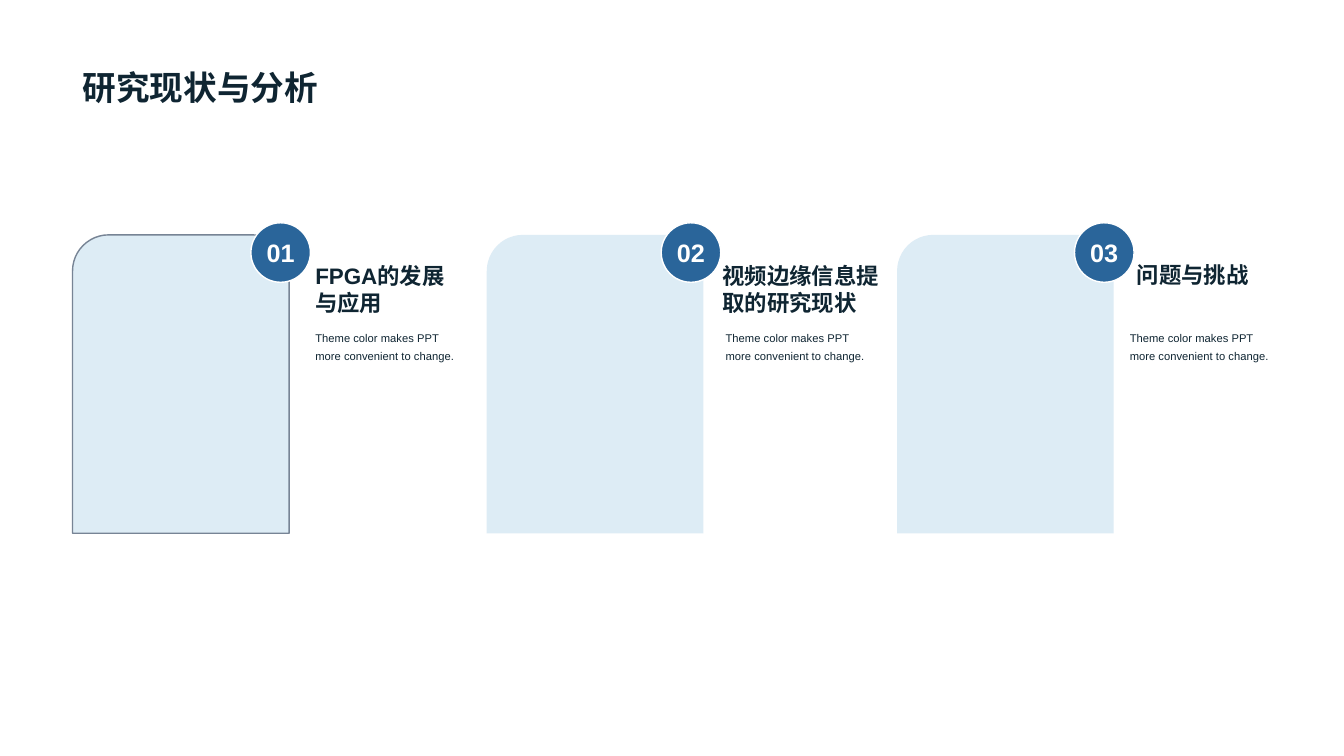
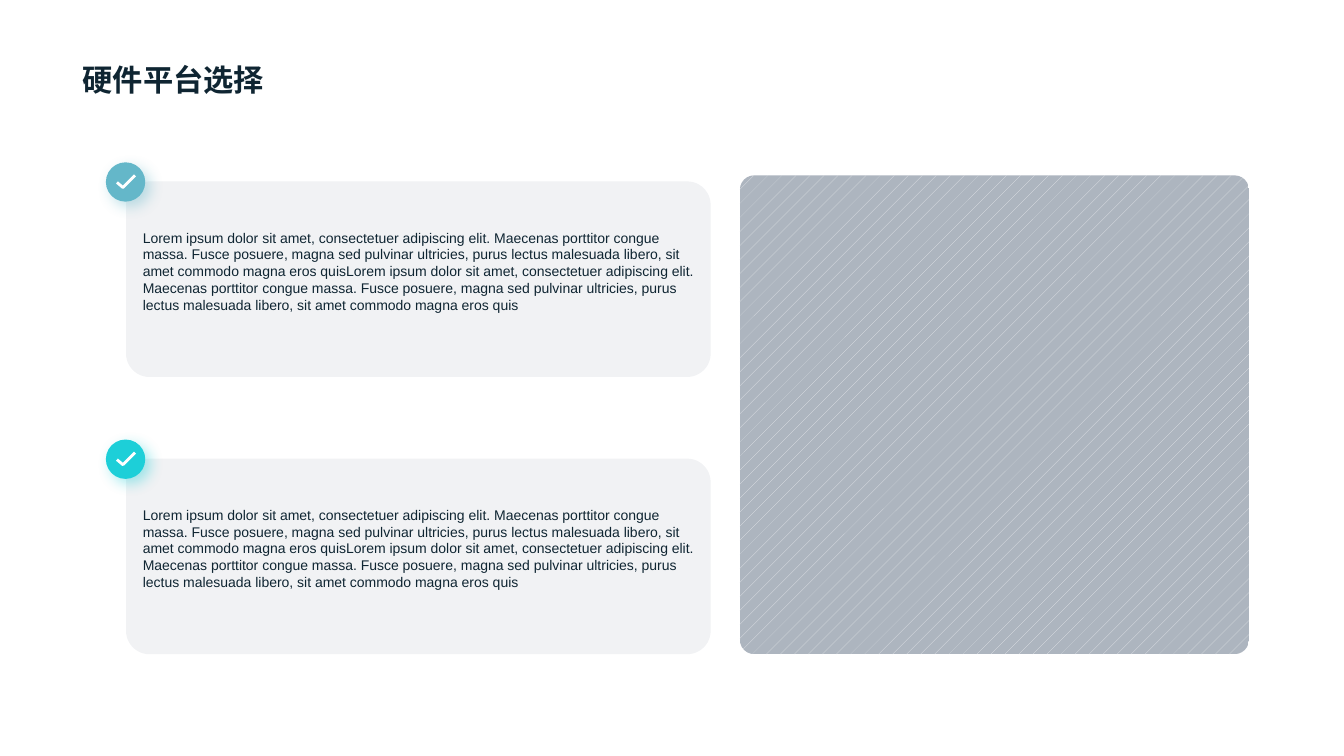
"""Build two slides: numbered research topics and a hardware platform choice."""
from lxml.etree import SubElement
from pptx import Presentation
from pptx.dml.color import RGBColor
from pptx.enum.dml import MSO_PATTERN
from pptx.enum.shapes import MSO_SHAPE
from pptx.enum.text import MSO_ANCHOR, MSO_AUTO_SIZE, PP_ALIGN
from pptx.oxml.ns import qn
from pptx.util import Inches, Pt

INK = RGBColor(0x0F, 0x25, 0x32)
WHITE = RGBColor(0xFF, 0xFF, 0xFF)
SLATE = RGBColor(0x77, 0x84, 0x95)
PALE_BLUE = RGBColor(0xDD, 0xEC, 0xF5)
DEEP_BLUE = RGBColor(0x2A, 0x65, 0x9A)
TEAL = RGBColor(0x64, 0xB7, 0xC9)
CYAN = RGBColor(0x1D, 0xCF, 0xD8)
PANEL = RGBColor(0xAD, 0xB5, 0xBF)
PANEL_LINES = RGBColor(0xE4, 0xE6, 0xEA)

FONT = "Arial"
TOPIC_NOTE = "Theme color makes PPT more convenient to change."
LOREM = (
    "Lorem ipsum dolor sit amet, consectetuer adipiscing elit. Maecenas porttitor "
    "congue massa. Fusce posuere, magna sed pulvinar ultricies, purus lectus "
    "malesuada libero, sit amet commodo magna eros quis"
)

presentation = Presentation()
presentation.slide_width = Inches(13.33)
presentation.slide_height = Inches(7.5)
COLUMN = presentation.slide_width / 100
ROW = presentation.slide_height / 100


def grid(left, top, width, height):
    """Turn columns and rows, each a hundredth of the slide, into lengths."""
    return int(left * COLUMN), int(top * ROW), int(width * COLUMN), int(height * ROW)


def write(shape, text, size, anchor, bold=False, color=INK, align=PP_ALIGN.LEFT, spacing=1.0):
    """Put one formatted paragraph into a shape."""
    text_frame = shape.text_frame
    text_frame.word_wrap = True
    text_frame.vertical_anchor = anchor
    text_frame.text = text
    paragraph = text_frame.paragraphs[0]
    paragraph.alignment = align
    paragraph.line_spacing = spacing
    for run in paragraph.runs:
        run.font.name = FONT
        run.font.size = Pt(size)
        run.font.bold = bold
        run.font.color.rgb = color


slides = []
for title_text, title_size, title_anchor, title_place in (
    ("研究现状与分析", 24, MSO_ANCHOR.BOTTOM, (5.4, 0, 89.1, 14.93)),
    ("硬件平台选择", 21.6, MSO_ANCHOR.TOP, (5.4, 8, 82.7, 10.67)),
):
    slide = presentation.slides.add_slide(presentation.slide_layouts[5])
    title = slide.shapes.title
    title.left, title.top, title.width, title.height = grid(*title_place)
    write(title, title_text, title_size, title_anchor, bold=True, spacing=0.9)
    title.text_frame.auto_size = MSO_AUTO_SIZE.NONE
    slides.append(slide)
topics_slide, platform_slide = slides

topics = (
    ("FPGA的发展与应用", 5.4, 18.67, 22.72, 12.07, 8.53, 22.72),
    ("视频边缘信息提取的研究现状", 36.22, 49.2, 53.02, 13.2, 8.53, 53.25),
    ("问题与挑战", 66.75, 79.95, 83.85, 12.07, 4.93, 83.32),
)
for number, topic in enumerate(topics, start=1):
    heading_text, card_left, badge_left, heading_left, heading_width, heading_height, note_left = topic

    card = topics_slide.shapes.add_shape(
        MSO_SHAPE.ROUND_2_SAME_RECTANGLE, *grid(card_left, 31.07, 16.12, 39.47)
    )
    card.shadow.inherit = False
    card.fill.solid()
    card.fill.fore_color.rgb = PALE_BLUE
    if number == 1:
        card.line.color.rgb = SLATE
        card.line.width = Pt(1)
    else:
        card.line.fill.background()

    heading = topics_slide.shapes.add_textbox(
        *grid(heading_left, 33.87, heading_width, heading_height)
    )
    write(heading, heading_text, 16, MSO_ANCHOR.BOTTOM, bold=True)
    note = topics_slide.shapes.add_textbox(*grid(note_left, 42.67, 12.07, 5.73))
    write(note, TOPIC_NOTE, 8, MSO_ANCHOR.TOP, spacing=1.3)
    for text_box in (heading, note):
        text_box.text_frame.auto_size = MSO_AUTO_SIZE.SHAPE_TO_FIT_TEXT

    badge = topics_slide.shapes.add_shape(
        MSO_SHAPE.ROUNDED_RECTANGLE, *grid(badge_left, 29.47, 4.43, 7.87)
    )
    badge.adjustments[0] = 0.5
    badge.shadow.inherit = False
    badge.fill.solid()
    badge.fill.fore_color.rgb = DEEP_BLUE
    badge.line.color.rgb = WHITE
    badge.line.width = Pt(1)
    write(badge, f"{number:02d}", 18, MSO_ANCHOR.MIDDLE, True, WHITE, PP_ALIGN.CENTER)
    badge.text_frame.word_wrap = False

for card_top, badge_color in ((24, TEAL), (60.67, CYAN)):
    card = platform_slide.shapes.add_shape(
        MSO_SHAPE.ROUNDED_RECTANGLE, *grid(9.38, card_top, 43.5, 25.87)
    )
    card.adjustments[0] = 0.12
    card.shadow.inherit = False
    card.fill.solid()
    card.fill.fore_color.rgb = SLATE
    card_color = card.fill._xPr.find(qn("a:solidFill")).find(qn("a:srgbClr"))
    SubElement(card_color, qn("a:alpha"), val="10000")
    card.line.fill.background()
    write(card, LOREM * 2, 10, MSO_ANCHOR.MIDDLE)
    card.text_frame.margin_bottom = Inches(0.21)

    badge = platform_slide.shapes.add_shape(
        MSO_SHAPE.ROUNDED_RECTANGLE, *grid(7.88, card_top - 2.53, 2.93, 5.2)
    )
    badge.adjustments[0] = 0.5
    badge.shadow.inherit = False
    badge.fill.solid()
    badge.fill.fore_color.rgb = badge_color
    badge.line.fill.background()
    effects = badge.fill._xPr.find(qn("a:effectLst"))
    shadow = SubElement(
        effects, qn("a:outerShdw"), blurRad=str(Pt(10)), dist=str(Pt(5)),
        dir="2700000", algn="tl", rotWithShape="0",
    )
    shadow_color = SubElement(shadow, qn("a:srgbClr"), val=str(badge_color))
    SubElement(shadow_color, qn("a:alpha"), val="40000")

    check_points = [
        (int(column * COLUMN), int((card_top + row) * ROW))
        for column, row in ((10.05, -0.8), (9.15, 0.8), (8.7, 0.13))
    ]
    builder = platform_slide.shapes.build_freeform(*check_points[0])
    builder.add_line_segments(check_points[1:], close=False)
    check = builder.convert_to_shape()
    check.shadow.inherit = False
    check.fill.background()
    check.line.color.rgb = WHITE
    check.line.width = Pt(2)

panel = platform_slide.shapes.add_shape(
    MSO_SHAPE.ROUNDED_RECTANGLE, *grid(55.05, 23.2, 37.88, 63.33)
)
panel.adjustments[0] = 0.03
panel.shadow.inherit = False
panel.fill.patterned()
panel.fill.pattern = MSO_PATTERN.PERCENT_5
panel.fill.fore_color.rgb = PANEL_LINES
panel.fill.back_color.rgb = PANEL
panel.line.fill.background()

presentation.save("out.pptx")
